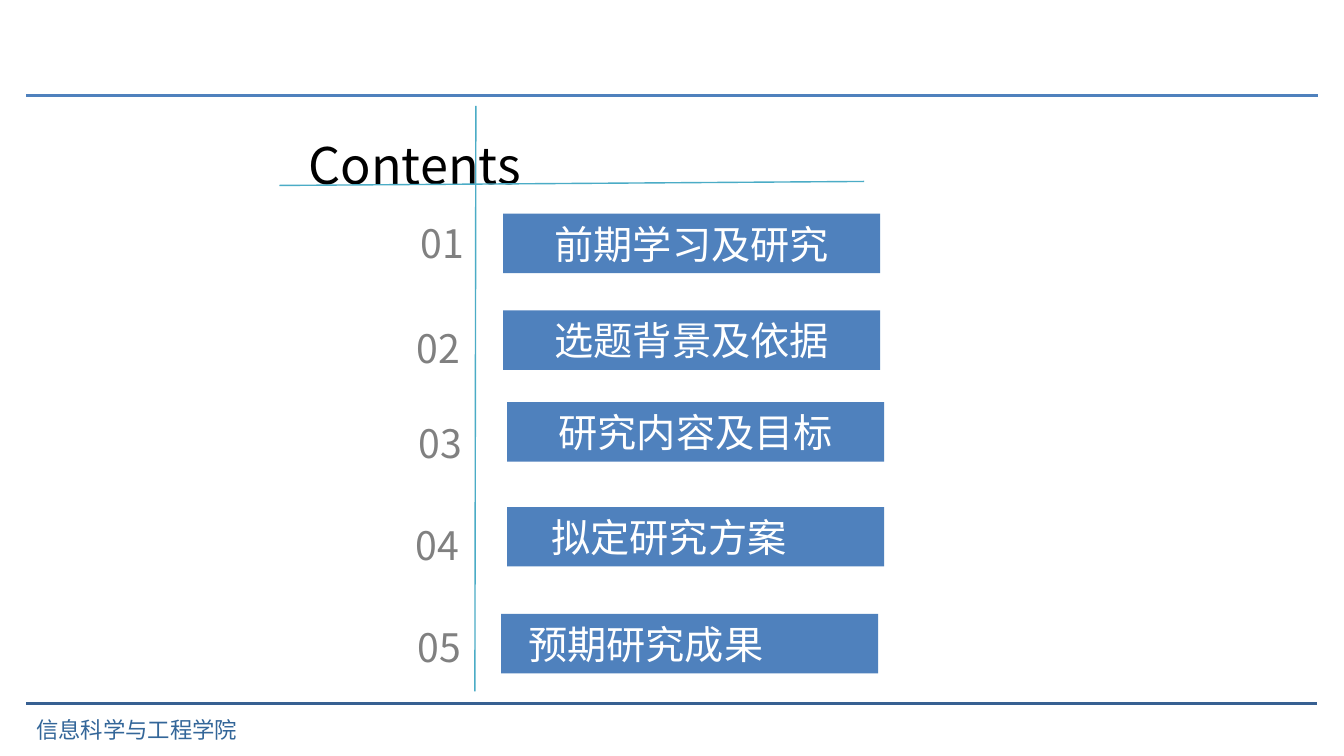
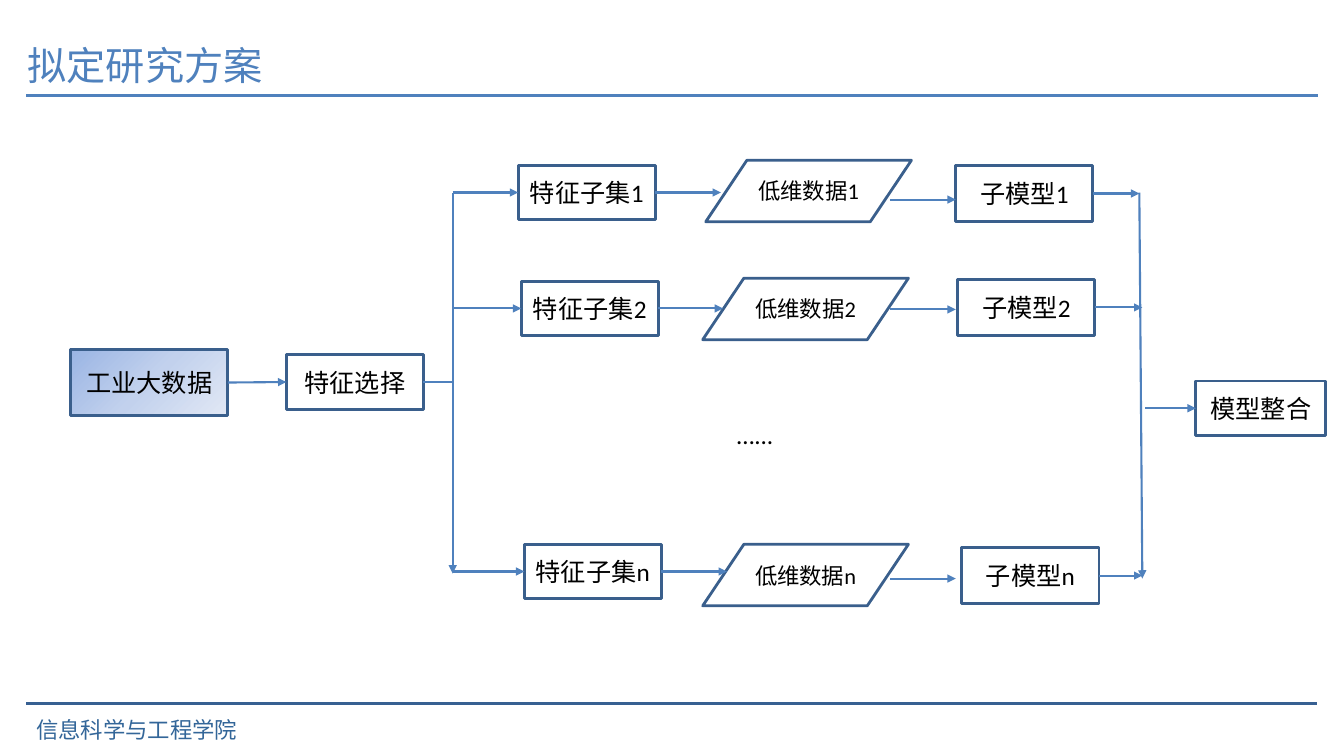
from pptx import Presentation
from pptx.dml.color import RGBColor
from pptx.enum.shapes import MSO_CONNECTOR as Link, MSO_SHAPE as Form
from pptx.enum.text import MSO_ANCHOR as Anchor, MSO_AUTO_SIZE as Fit, PP_ALIGN as Align
from pptx.oxml import parse_xml
from pptx.oxml.ns import nsdecls, qn
from pptx.util import Inches, Pt

BLUE = RGBColor(0x4F, 0x81, 0xBD)
DEEP_BLUE = RGBColor(0x37, 0x60, 0x92)
OUTLINE = RGBColor(0x3A, 0x5F, 0x8C)
FOOTER_BLUE = RGBColor(0x33, 0x66, 0x99)
TEAL = RGBColor(0x4B, 0xAC, 0xC6)
GRAY = RGBColor(0x80, 0x80, 0x80)
BLACK = RGBColor(0, 0, 0)
WHITE = RGBColor(0xFF, 0xFF, 0xFF)
HAN = "Noto Sans CJK SC"
LATIN = "Calibri"
TOP, LEFT, BOTTOM, RIGHT = range(4)
GLOW = ((0, "9AB5E4"), (50, "C2D1ED"), (100, "E1E8F5"))

CONTENTS = (
    ("01", (3.66, 2.03, 1.04), "前期学习及研究", (4.99, 2.12), LATIN, None),
    ("02", (3.89, 3.07, 0.77), "选题背景及依据", (4.99, 3.08), HAN, None),
    ("03", (3.91, 4.02, 0.77), "研究内容及目标", (5.03, 3.99), HAN, None),
    ("04", (3.88, 5.03, 0.77), "拟定研究方案", (5.03, 5.03), LATIN, 0.44),
    ("05", (3.90, 6.04, 0.77), "预期研究成果", (4.97, 6.09), HAN, 0.27),
)

BRANCHES = (
    dict(mark="1", subset=(0.65, 0.05), data=(2.51, 0), model=(4.99, 0.05),
         data_edge=2.66, model_entry=0.39, merge=6.81),
    dict(mark="2", subset=(0.68, 1.2), data=(2.48, 1.17), model=(5.01, 1.18),
         data_edge=2.68, model_entry=1.48, merge=6.84),
    dict(mark="n", subset=(0.71, 3.81), data=(2.48, 3.81), model=(5.05, 3.84),
         data_edge=2.72, model_entry=4.15, merge=6.84),
)


def set_values(target, values):
    for name, value in values.items():
        setattr(target, name, value)


def write(shape, text, size, color, font=HAN, align=Align.LEFT, spacing=None, **frame_values):
    frame = shape.text_frame
    set_values(frame, {"word_wrap": True, "auto_size": Fit.NONE, **frame_values})
    para = frame.paragraphs[0]
    set_values(para, {"alignment": align, "line_spacing": spacing})
    span = para.add_run()
    span.text = text
    set_values(span.font, {"name": font, "size": Pt(size)})
    span.font.color.rgb = color
    east = parse_xml(f'<a:ea {nsdecls("a")} typeface="{HAN}"/>')
    span.font._element.find(qn("a:latin")).addnext(east)


def add_text(page, box, text, size, color, **values):
    shape = page.shapes.add_textbox(*map(Inches, box))
    write(shape, text, size, color, **values)
    return shape


def add_box(page, box, text, size, form=Form.RECTANGLE, fill=None, outline=OUTLINE,
            color=BLACK, font=LATIN, align=Align.CENTER, **frame_values):
    shape = page.shapes.add_shape(form, *map(Inches, box))
    shape.shadow.inherit = False
    if fill is None:
        shape.fill.background()
    else:
        shape.fill.solid()
        shape.fill.fore_color.rgb = fill
    if outline is None:
        shape.line.fill.background()
    else:
        shape.line.color.rgb = outline
        shape.line.width = Pt(2)
    write(shape, text, size, color, font, align, vertical_anchor=Anchor.MIDDLE, **frame_values)
    return shape


def add_glow(shape):
    shape.fill.gradient()
    plain = shape.element.spPr.find(qn("a:gradFill"))
    stops = "".join(f'<a:gs pos="{place * 1000}"><a:srgbClr val="{color}"/></a:gs>'
                    for place, color in GLOW)
    glow = parse_xml(f'<a:gradFill {nsdecls("a")} rotWithShape="1"><a:gsLst>{stops}</a:gsLst>'
                     '<a:path path="circle"><a:fillToRect r="100000" b="100000"/></a:path>'
                     '</a:gradFill>')
    plain.getparent().replace(plain, glow)


def add_line(page, start, end, color=BLUE, width=1.5, arrow=False, source=None, target=None):
    line = page.shapes.add_connector(Link.STRAIGHT, *map(Inches, (*start, *end)))
    line.line.color.rgb = color
    line.line.width = Pt(width)
    if arrow:
        line.line._get_or_add_ln().append(
            parse_xml(f'<a:tailEnd {nsdecls("a")} type="triangle"/>'))
    line.element.spPr.append(parse_xml(f'<a:effectLst {nsdecls("a")}/>'))
    if source is not None:
        line.begin_connect(source, RIGHT)
    if target is not None:
        line.end_connect(target, LEFT)
    return line


def add_arrow(page, start, end, **ends):
    return add_line(page, start, end, arrow=True, **ends)


def add_title(page, box, text, size, color, **values):
    title = page.shapes.title
    set_values(title, dict(zip(("left", "top", "width", "height"), map(Inches, box))))
    write(title, text, size, color, vertical_anchor=Anchor.TOP, **values)


def add_frame(page, layout):
    parts = (
        add_line(page, (0.26, 0.95), (13.07, 0.95), BLUE, 2.25),
        add_line(page, (0.26, 6.98), (13.06, 6.98), DEEP_BLUE, 2.25),
        add_text(page, (0.26, 7.06, 6.09, 0.37), "信息科学与工程学院", 16, FOOTER_BLUE),
    )
    for number, part in enumerate(parts, 101):
        part.element.xpath(".//p:cNvPr")[0].set("id", str(number))
        layout.shapes.element.append(part.element)


def build_contents(page):
    add_title(page, (2.96, 1.28, 3.17, 1.04), "Contents", 36, BLACK)
    add_line(page, (4.72, 1.05), (4.71, 6.86), TEAL, 1)
    add_line(page, (2.77, 1.84), (8.57, 1.8), TEAL, 1)
    for number, number_box, topic, corner, font, indent in CONTENTS:
        add_text(page, (*number_box, 0.71), number, 28, GRAY, align=Align.RIGHT, spacing=1.2)
        layout = {} if indent is None else {"align": Align.LEFT, "margin_left": Inches(indent)}
        add_box(page, (*corner, 3.74, 0.59), topic, 28, fill=BLUE, outline=None,
                color=WHITE, font=font, **layout)


def add_source(page, left, top):
    middle = top + 0.32
    data = add_box(page, (left, top, 1.56, 0.65), "工业大数据", 18)
    add_glow(data)
    choice = add_box(page, (left + 2.14, top + 0.05, 1.36, 0.54), "特征选择", 18)
    add_arrow(page, (left + 1.56, middle), (left + 2.14, middle), source=data, target=choice)
    add_line(page, (left + 3.5, middle), (left + 3.79, middle), width=1, source=choice)


def add_branch(page, left, top, mark, subset, data, model, data_edge, model_entry, merge):
    def at(x, y):
        return left + x, top + y

    subset_middle = subset[1] + 0.27
    model_middle = model[1] + 0.28
    subset_box = add_box(page, (*at(*subset), 1.36, 0.54), f"特征子集{mark}", 18)
    add_box(page, (*at(*data), 2.04, 0.61), f"低维数据{mark}", 16,
            Form.FLOWCHART_DATA, WHITE)
    model_box = add_box(page, (*at(*model), 1.36, 0.56), f"子模型{mark}", 18)
    add_arrow(page, at(0, subset_middle), at(subset[0], subset_middle), target=subset_box)
    add_arrow(page, at(subset[0] + 1.36, subset_middle), at(data_edge, subset_middle),
              source=subset_box)
    add_arrow(page, at(4.34, model_entry), at(4.99, model_entry))
    add_arrow(page, at(model[0] + 1.36, model_middle), at(merge, model_middle),
              source=model_box)


def add_branches(page, left, top):
    add_arrow(page, (left, top + 0.32), (left, top + 4.1))
    add_arrow(page, (left + 6.81, top + 0.32), (left + 6.84, top + 4.15))
    for branch in BRANCHES:
        add_branch(page, left, top, **branch)
    add_text(page, (left + 2.72, top + 2.52, 2.19, 0.4), "…...", 18, BLACK, font=LATIN)


def add_result(page, left, top):
    result = add_box(page, (left + 0.5, top, 1.29, 0.54), "模型整合", 18)
    add_arrow(page, (left, top + 0.27), (left + 0.5, top + 0.27), target=result)


def build_plan(page):
    add_title(page, (0.16, 0.36, 2.56, 0.57), "拟定研究方案", 28, BLUE,
              align=Align.CENTER, word_wrap=False)
    add_source(page, 0.7, 3.47)
    add_branches(page, 4.49, 1.59)
    add_result(page, 11.36, 3.78)


def main():
    deck = Presentation()
    set_values(deck, {"slide_width": Inches(13.33), "slide_height": Inches(7.5)})
    layout = deck.slide_layouts[5]
    contents, plan = (deck.slides.add_slide(layout) for _ in range(2))
    add_frame(contents, layout)
    build_contents(contents)
    build_plan(plan)
    deck.save("out.pptx")


if __name__ == "__main__":
    main()
